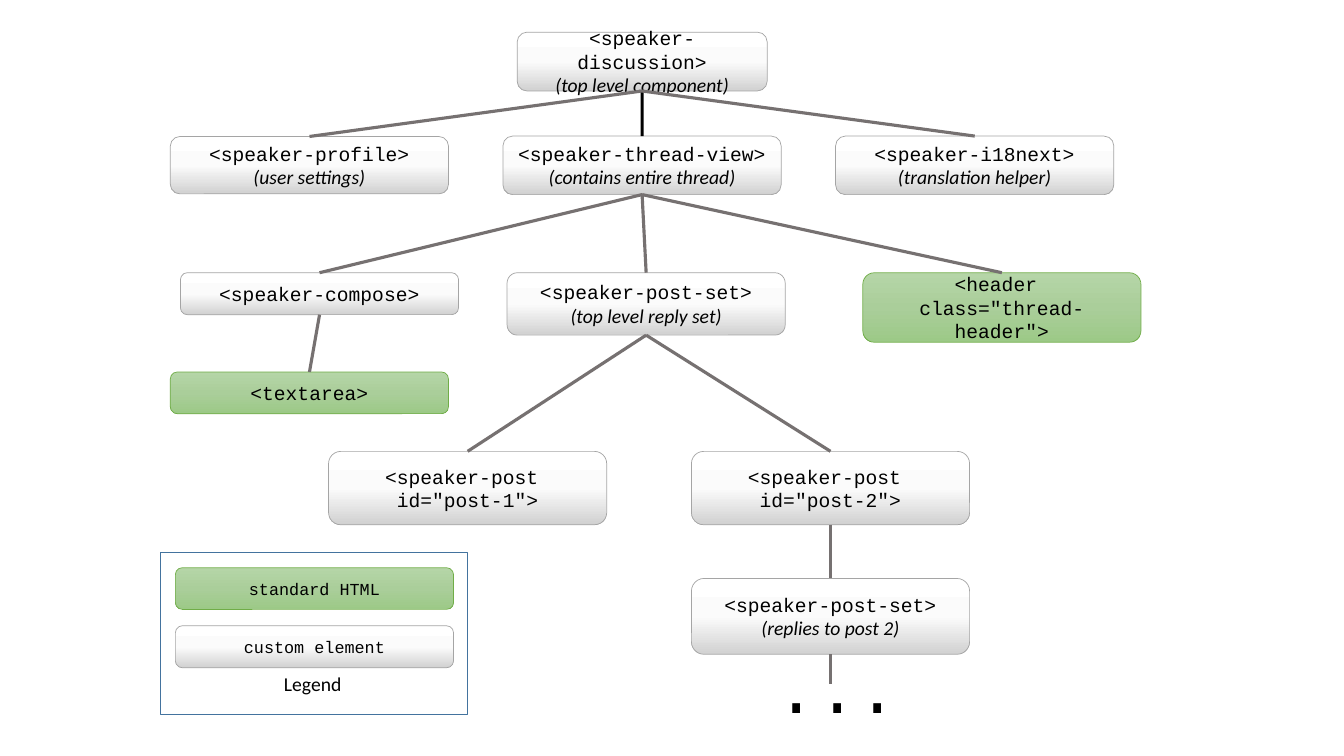
from copy import deepcopy
from dataclasses import dataclass
from typing import Optional

from pptx import Presentation
from pptx.dml.color import RGBColor
from pptx.enum import shapes, text
from pptx.oxml import ns
from pptx.oxml import xmlchemy as xc
from pptx.util import Pt

CODE, PROSE = "Courier New", "Calibri"
NODE_W = 198.7
BLACK, GREY, LEGEND_BLUE = "000000", "767171", "43739E"


@dataclass(frozen=True)
class Look:
    stops: tuple[str, str, str]
    line: str


@dataclass(frozen=True)
class Node:
    name: str
    x: float
    y: float
    h: float
    code: tuple[str, ...]
    note: str = ""
    w: float = NODE_W
    size: float = 14
    standard: bool = False


@dataclass(frozen=True)
class Link:
    parent: str
    child: str
    colour: str = GREY


CUSTOM = Look(("FFFFFF", "FBFBFB", "D1D1D1"), "A5A5A5")
STANDARD = Look(("B5D5A7", "AACE9A", "9CC987"), "70AD47")

NODES = [
    Node("discussion", 369.4, 23, 42, ("<speaker-discussion>",), "(top level component)", w=178.6),
    Node("profile", 121.7, 97.5, 41, ("<speaker-profile>",), "(user settings)"),
    Node("thread", 359.3, 97.2, 41.8, ("<speaker-thread-view>",), "(contains entire thread)"),
    Node("i18n", 596.9, 97.2, 41.8, ("<speaker-i18next>",), "(translation helper)"),
    Node("compose", 128.9, 194.8, 30, ("<speaker-compose>",)),
    Node("replies", 362.2, 194.8, 44.6, ("<speaker-post-set>",), "(top level reply set)"),
    Node("header", 616.3, 194.8, 49.7, ('<header \nclass="thread-header">',), standard=True),
    Node("textarea", 121.7, 265.7, 29.8, ("<textarea>",), standard=True),
    Node("post1", 234.7, 322.4, 52.4, ("<speaker-post ", 'id="post-1">')),
    Node("post2", 493.9, 322.4, 52.4, ("<speaker-post ", 'id="post-2">')),
    Node("nested", 493.9, 413.2, 54.2, ("<speaker-post-set>",), "(replies to post 2)"),
]
LEGEND = [
    Node("standard", 125.3, 405.5, 29.8, ("standard HTML",), size=12, standard=True),
    Node("custom", 125.3, 447, 30, ("custom element",), size=12),
]
LINKS = [
    Link("discussion", "thread", BLACK),
    Link("discussion", "profile"),
    Link("discussion", "i18n"),
    Link("thread", "compose"),
    Link("thread", "header"),
    Link("thread", "replies"),
    Link("compose", "textarea"),
    Link("replies", "post1"),
    Link("replies", "post2"),
    Link("post2", "nested"),
]


def rgb(colour: str) -> RGBColor:
    return RGBColor.from_string(colour)


def add_run(p, words: str, size: float, font: str, italic: bool = False) -> None:
    r = p.add_run()
    r.text = words
    r.font.size = Pt(size)
    r.font.name = font
    r.font.italic = italic or None
    r.font.color.rgb = rgb(BLACK)


def fill_gradient(s, look: Look) -> None:
    s.fill.gradient()
    s.fill.gradient_angle = 270
    stops = s._element.spPr.find(".//" + ns.qn("a:gsLst"))
    stops.insert(1, deepcopy(stops[0]))
    for stop, position, colour in zip(s.fill.gradient_stops, (0, 0.5, 1), look.stops):
        stop.position = position
        stop.color.rgb = rgb(colour)


def add_node(slide, node: Node):
    look = STANDARD if node.standard else CUSTOM
    s = slide.shapes.add_shape(shapes.MSO_SHAPE.ROUNDED_RECTANGLE,
                               Pt(node.x), Pt(node.y), Pt(node.w), Pt(node.h))
    s.shadow.inherit = False
    fill_gradient(s, look)
    s.line.color.rgb = rgb(look.line)
    s.line.width = Pt(0.5)
    tf = s.text_frame
    tf.word_wrap = True
    tf.vertical_anchor = text.MSO_ANCHOR.MIDDLE
    for i, paragraph in enumerate(node.code):
        p = tf.add_paragraph() if i else tf.paragraphs[0]
        p.alignment = text.PP_ALIGN.CENTER
        for j, words in enumerate(paragraph.split("\n")):
            if j:
                p.add_line_break()
            add_run(p, words, node.size, CODE)
    if node.note:
        p.add_line_break()
        add_run(p, node.note, node.size, PROSE, italic=True)
    return s


def add_line(slide, parent, child: Optional[object], colour: str, length: float = 0) -> None:
    x, y = parent.left + parent.width // 2, parent.top + parent.height
    s = slide.shapes.add_connector(shapes.MSO_CONNECTOR.STRAIGHT, x, y, x, y + Pt(length))
    s.begin_connect(parent, 2)
    if child is not None:
        s.end_connect(child, 0)
    s.line.color.rgb = rgb(colour)
    s.line.width = Pt(2.25)
    s._element.spPr.append(xc.OxmlElement("a:effectLst"))


def add_label(slide, x: float, y: float, w: float, h: float,
              words: str, size: float, font: str) -> None:
    tf = slide.shapes.add_textbox(Pt(x), Pt(y), Pt(w), Pt(h)).text_frame
    tf.word_wrap = True
    add_run(tf.paragraphs[0], words, size, font)


def add_legend(slide) -> None:
    s = slide.shapes.add_shape(shapes.MSO_SHAPE.RECTANGLE,
                               Pt(114.5), Pt(394.6), Pt(219.6), Pt(115.9))
    s.shadow.inherit = False
    s.fill.background()
    s.line.color.rgb = rgb(LEGEND_BLUE)
    s.line.width = Pt(1)
    for node in LEGEND:
        add_node(slide, node)
    add_label(slide, 195.8, 476.6, 57.6, 24.5, "Legend", 14, PROSE)


def main() -> None:
    prs = Presentation()
    prs.slide_width, prs.slide_height = Pt(960), Pt(540)
    slide = prs.slides.add_slide(prs.slide_layouts[6])
    boxes = {node.name: add_node(slide, node) for node in NODES}
    add_label(slide, 547.9, 457.9, 130.3, 65.5, "...", 48, CODE)
    for link in LINKS:
        add_line(slide, boxes[link.parent], boxes[link.child], link.colour)
    add_line(slide, boxes["nested"], None, GREY, length=21.5)
    add_legend(slide)
    prs.save("out.pptx")


if __name__ == "__main__":
    main()
